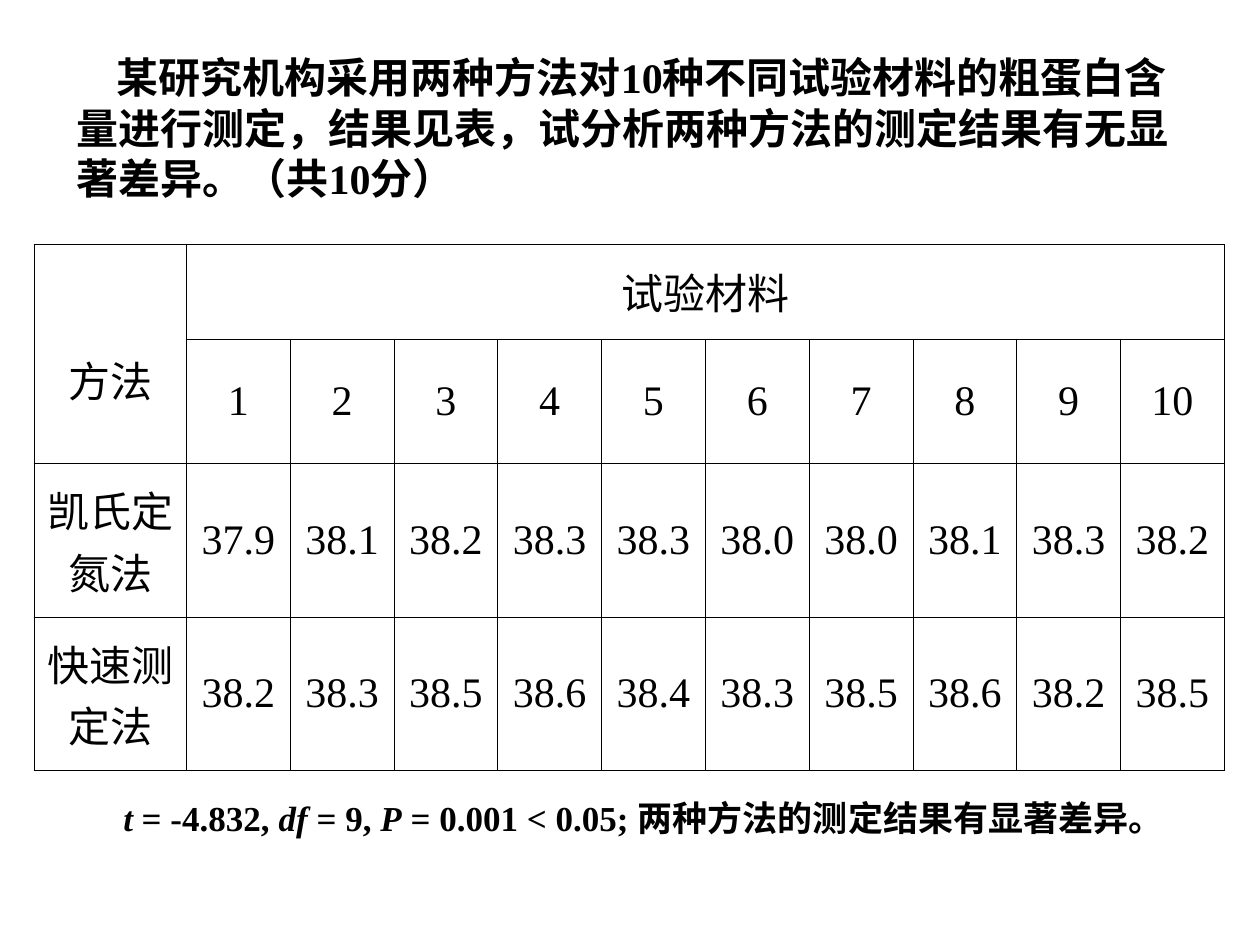
from lxml.etree import SubElement
from pptx import Presentation
from pptx.dml.color import RGBColor
from pptx.enum.text import MSO_ANCHOR, PP_ALIGN
from pptx.oxml.ns import qn
from pptx.util import Inches, Pt

FONT = "Times New Roman"
COLORS = {"text": "000000", "line": "000000"}
TASK = ("某研究机构采用两种方法对10种不同试验材料的粗蛋白含量进行测定，"
        "结果见表，试分析两种方法的测定结果有无显著差异。（共10分）")
RESULT = [
    ("t", True),
    (" = -4.832, ", False),
    ("df ", True),
    ("= 9, ", False),
    ("P", True),
    (" = 0.001 < 0.05; 两种方法的测定结果有显著差异。", False),
]
ROWS = [
    ["方法", "试验材料"] + [""] * 9,
    [""] + [str(num) for num in range(1, 11)],
    ["凯氏定氮法", "37.9", "38.1", "38.2", "38.3", "38.3",
     "38.0", "38.0", "38.1", "38.3", "38.2"],
    ["快速测定法", "38.2", "38.3", "38.5", "38.6", "38.4",
     "38.3", "38.5", "38.6", "38.2", "38.5"],
]
HEIGHTS = [0.75, 0.9, 1.22, 1.22]
LABEL_WIDTH = 1.21
VALUE_WIDTH = 0.824


def add_run(para, text, size, bold=False, italic=False):
    run = para.add_run()
    run.text = text
    font = run.font
    font.name = FONT
    font.size = Pt(size)
    font.bold = bold
    font.italic = italic
    font.color.rgb = RGBColor.from_string(COLORS["text"])


def add_text(slide, box, runs, size, wrap, indent=0):
    frame = slide.shapes.add_textbox(*map(Inches, box)).text_frame
    frame.word_wrap = wrap
    frame.vertical_anchor = MSO_ANCHOR.MIDDLE
    para = frame.paragraphs[0]
    para.line_spacing = Pt(size * 1.2)
    para._p.get_or_add_pPr().set("indent", str(Inches(indent)))
    for text, italic in runs:
        add_run(para, text, size, True, italic)


def set_border(cell):
    props = cell._tc.get_or_add_tcPr()
    for side in ("a:lnL", "a:lnR", "a:lnT", "a:lnB"):
        line = SubElement(props, qn(side), w=str(Pt(0.45)))
        fill = SubElement(line, qn("a:solidFill"))
        SubElement(fill, qn("a:srgbClr"), val=COLORS["line"])


def fill_cell(cell, text, label):
    set_border(cell)
    cell.fill.background()
    cell.vertical_anchor = MSO_ANCHOR.MIDDLE
    para = cell.text_frame.paragraphs[0]
    para.alignment = PP_ALIGN.CENTER
    if label:
        para.line_spacing = Pt(35)
    if text:
        add_run(para, text, 24)


def add_grid(slide):
    count = len(ROWS[0])
    width = LABEL_WIDTH + VALUE_WIDTH * (count - 1)
    box = (0.27, 1.94, width, sum(HEIGHTS))
    table = slide.shapes.add_table(len(ROWS), count, *map(Inches, box)).table
    table.first_row = False
    table.horz_banding = False
    for idx, col in enumerate(table.columns):
        col.width = Inches(VALUE_WIDTH if idx else LABEL_WIDTH)
    for row, height in zip(table.rows, HEIGHTS):
        row.height = Inches(height)
    for top, row in enumerate(ROWS):
        for left, text in enumerate(row):
            fill_cell(table.cell(top, left), text, left == 0)
    table.cell(0, 0).merge(table.cell(1, 0))
    table.cell(0, 1).merge(table.cell(0, count - 1))
    table.cell(0, 0).margin_top = Inches(0.45)


def main():
    deck = Presentation()
    deck.slide_width = Inches(10)
    deck.slide_height = Inches(7.5)
    slide = deck.slides.add_slide(deck.slide_layouts[6])
    add_text(slide, (0.51, 0.36, 8.9, 1.3), [(TASK, False)], 24, True, 0.32)
    add_grid(slide)
    add_text(slide, (0.88, 6.27, 8.52, 0.44), RESULT, 20, False)
    deck.save("out.pptx")


if __name__ == "__main__":
    main()
